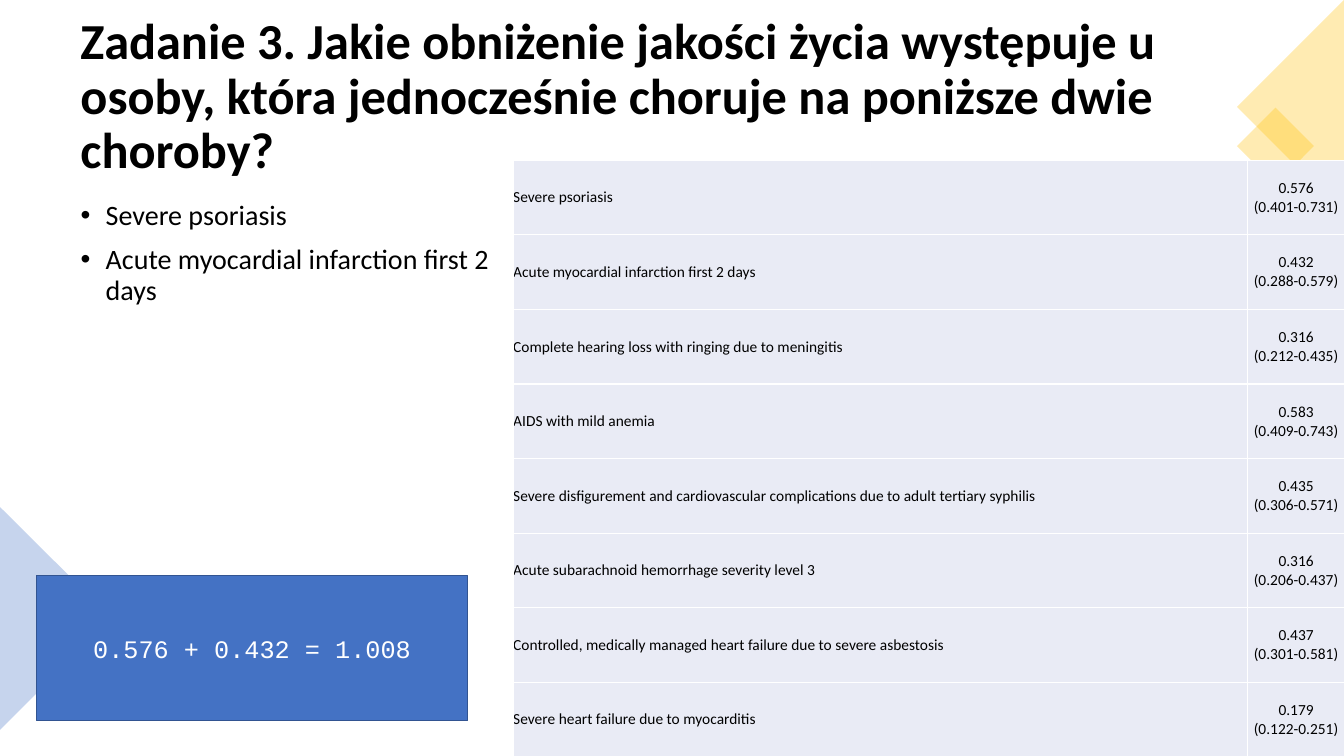
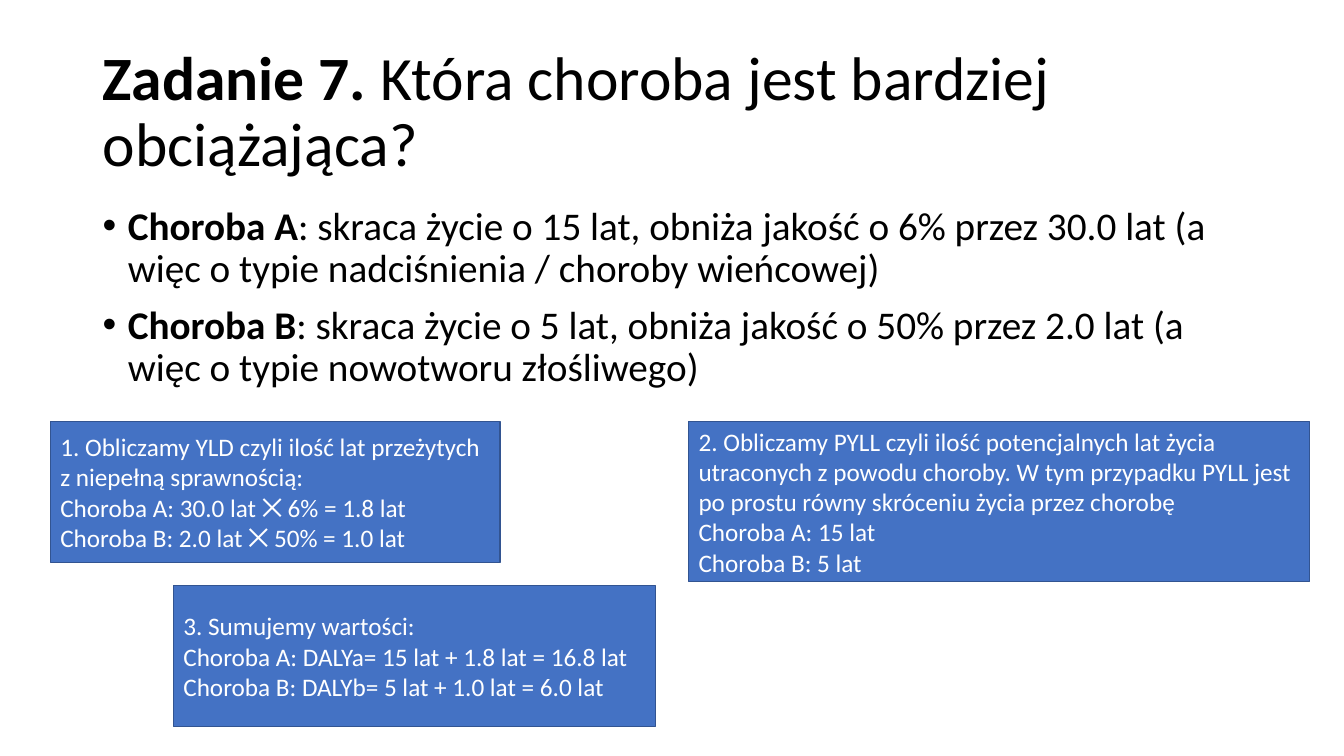
from lxml.etree import SubElement
from pptx import Presentation
from pptx.dml.color import RGBColor
from pptx.enum.shapes import MSO_SHAPE as Shape
from pptx.enum.text import MSO_ANCHOR as Anchor, PP_ALIGN as Align
from pptx.oxml.ns import qn
from pptx.util import Emu, Pt

PX = 9144
COLORS = {
    "text": "000000",
    "white": "FFFFFF",
    "blue": "4472C4",
    "blue_line": "325491",
    "gold": "FFC000",
    "cell": "E9EBF5",
}
FONT = "Calibri"
MONO = "Courier New"
OPACITY = 30
BULLET_INDENT = 25

PSORIASIS = {
    "title": [("Zadanie 3. Jakie obniżenie jakości życia występuje u osoby, "
               "która jednocześnie choruje na poniższe dwie choroby?", True)],
    "title_at": (70, 35, 1193, 124),
    "title_size": 36,
    "bullets": [
        [("Severe psoriasis", False)],
        [("Acute myocardial infarction first 2 days", False)],
    ],
    "bullets_at": (70, 195, 438, 481),
    "bullet_size": 20,
}
DECORATIONS = [
    (Shape.ISOSCELES_TRIANGLE, (-55, 558, 221, 111), 90, "blue"),
    (Shape.RECTANGLE, (47, 626, 53, 53), 45, "blue"),
    (Shape.RECTANGLE, (1238, 118, 54, 54), 45, "gold"),
    (Shape.ISOSCELES_TRIANGLE, (1174, 53, 212, 106), 270, "gold"),
]
WEIGHTS = [
    ("Severe psoriasis", "0.576", "(0.401-0.731)"),
    ("Acute myocardial infarction first 2 days", "0.432", "(0.288-0.579)"),
    ("Complete hearing loss with ringing due to meningitis", "0.316", "(0.212-0.435)"),
    ("AIDS with mild anemia", "0.583", "(0.409-0.743)"),
    ("Severe disfigurement and cardiovascular complications due to adult tertiary syphilis",
     "0.435", "(0.306-0.571)"),
    ("Acute subarachnoid hemorrhage severity level 3", "0.316", "(0.206-0.437)"),
    ("Controlled, medically managed heart failure due to severe asbestosis",
     "0.437", "(0.301-0.581)"),
    ("Severe heart failure due to myocarditis", "0.179", "(0.122-0.251)"),
]
TABLE_LEFT, TABLE_TOP = 509, 159
COLUMN_WIDTHS = (728, 97)
ROW_HEIGHT = 74
SUM_LINES = ["0.576 + 0.432 = 1.008"]
SUM_AT = (36, 571, 428, 144)

BURDEN = {
    "title": [("Zadanie 7. ", True), ("Która choroba jest bardziej obciążająca?", False)],
    "title_at": (92, 40, 1150, 145),
    "title_size": 44,
    "bullets": [
        [("Choroba A", True),
         (": skraca życie o 15 lat, obniża jakość o 6% przez 30.0 lat "
          "(a więc o typie nadciśnienia / choroby wieńcowej)", False)],
        [("Choroba B", True),
         (": skraca życie o 5 lat, obniża jakość o 50% przez 2.0 lat "
          "(a więc o typie nowotworu złośliwego)", False)],
    ],
    "bullets_at": (92, 200, 1150, 476),
    "bullet_size": 28,
}
STEPS = [
    ((50, 418, 446, 140), [
        "1. Obliczamy YLD czyli ilość lat przeżytych z niepełną sprawnością:",
        "Choroba A: 30.0 lat ⨉ 6% = 1.8 lat",
        "Choroba B: 2.0 lat ⨉ 50% = 1.0 lat",
    ]),
    ((683, 418, 616, 159), [
        "2. Obliczamy PYLL czyli ilość potencjalnych lat życia utraconych z powodu choroby. "
        "W tym przypadku PYLL jest po prostu równy skróceniu życia przez chorobę",
        "Choroba A: 15 lat",
        "Choroba B: 5 lat",
    ]),
    ((172, 581, 478, 140), [
        "3. Sumujemy wartości:",
        "Choroba A: DALYa= 15 lat + 1.8 lat = 16.8 lat",
        "Choroba B: DALYb= 5 lat + 1.0 lat = 6.0 lat",
    ]),
]


def px(*lengths):
    return [Emu(length * PX) for length in lengths]


def color(name):
    return RGBColor.from_string(COLORS[name])


def add_run(paragraph, text, size, bold=False, ink="text", font=FONT):
    run = paragraph.add_run()
    run.text = text
    run.font.name = font
    run.font.size = Pt(size)
    run.font.bold = bold
    run.font.color.rgb = color(ink)


def add_paragraphs(frame, paragraphs, size, align=Align.LEFT, **style):
    frame.word_wrap = True
    for index, runs in enumerate(paragraphs):
        paragraph = frame.add_paragraph() if index else frame.paragraphs[0]
        paragraph.alignment = align
        for text, bold in runs:
            add_run(paragraph, text, size, bold, **style)
    return frame.paragraphs


def set_bullet(paragraph):
    paragraph.space_before = Pt(10)
    properties = paragraph._p.get_or_add_pPr()
    properties.set("marL", str(BULLET_INDENT * PX))
    properties.set("indent", str(-BULLET_INDENT * PX))
    SubElement(properties, qn("a:buFont"), typeface="Arial")
    SubElement(properties, qn("a:buChar"), char="•")


def add_heading(slide, content):
    title = slide.shapes.add_textbox(*px(*content["title_at"])).text_frame
    title.vertical_anchor = Anchor.MIDDLE
    add_paragraphs(title, [content["title"]], content["title_size"])[0].line_spacing = 0.9
    body = slide.shapes.add_textbox(*px(*content["bullets_at"])).text_frame
    for paragraph in add_paragraphs(body, content["bullets"], content["bullet_size"]):
        paragraph.line_spacing = 0.9
        set_bullet(paragraph)


def add_filled(slide, kind, at, fill):
    shape = slide.shapes.add_shape(kind, *px(*at))
    shape.shadow.inherit = False
    shape.fill.solid()
    shape.fill.fore_color.rgb = color(fill)
    return shape


def add_decoration(slide, kind, at, rotation, fill):
    shape = add_filled(slide, kind, at, fill)
    shape.rotation = rotation
    shape.line.fill.background()
    tint = shape._element.spPr.find(qn("a:solidFill")).find(qn("a:srgbClr"))
    SubElement(tint, qn("a:alpha"), val=str(OPACITY * 1000))


def add_answer(slide, at, lines, **style):
    box = add_filled(slide, Shape.RECTANGLE, at, "blue")
    box.line.color.rgb = color("blue_line")
    box.line.width = Pt(1)
    box.text_frame.vertical_anchor = Anchor.MIDDLE
    add_paragraphs(box.text_frame, [[(line, False)] for line in lines], 18,
                   ink="white", **style)


def style_cell(cell):
    cell.margin_left = cell.margin_right = cell.margin_top = cell.margin_bottom = 0
    cell.vertical_anchor = Anchor.MIDDLE
    properties = cell._tc.get_or_add_tcPr()
    for side in ("lnL", "lnR", "lnT", "lnB"):
        border = SubElement(properties, qn(f"a:{side}"), w=str(Pt(1)))
        SubElement(SubElement(border, qn("a:solidFill")), qn("a:srgbClr"), val=COLORS["white"])
    cell.fill.solid()
    cell.fill.fore_color.rgb = color("cell")


def add_weights_table(slide):
    at = px(TABLE_LEFT, TABLE_TOP, sum(COLUMN_WIDTHS), ROW_HEIGHT * len(WEIGHTS))
    table = slide.shapes.add_table(len(WEIGHTS), len(COLUMN_WIDTHS), *at).table
    table.first_row = table.horz_banding = False
    for column, width in zip(table.columns, px(*COLUMN_WIDTHS)):
        column.width = width
    for row, (disease, weight, interval) in zip(table.rows, WEIGHTS):
        for cell in row.cells:
            style_cell(cell)
        name, value = (cell.text_frame.paragraphs[0] for cell in row.cells)
        add_run(name, disease, 11)
        value.alignment = Align.CENTER
        add_run(value, weight, 11)
        value.add_line_break()
        add_run(value, interval, 11)


def main():
    presentation = Presentation()
    presentation.slide_width, presentation.slide_height = px(1333, 750)
    blank = presentation.slide_layouts[6]

    slide = presentation.slides.add_slide(blank)
    add_heading(slide, PSORIASIS)
    for decoration in DECORATIONS:
        add_decoration(slide, *decoration)
    add_weights_table(slide)
    add_answer(slide, SUM_AT, SUM_LINES, align=Align.CENTER, font=MONO)

    slide = presentation.slides.add_slide(blank)
    add_heading(slide, BURDEN)
    for at, lines in STEPS:
        add_answer(slide, at, lines)

    presentation.save("out.pptx")


if __name__ == "__main__":
    main()
